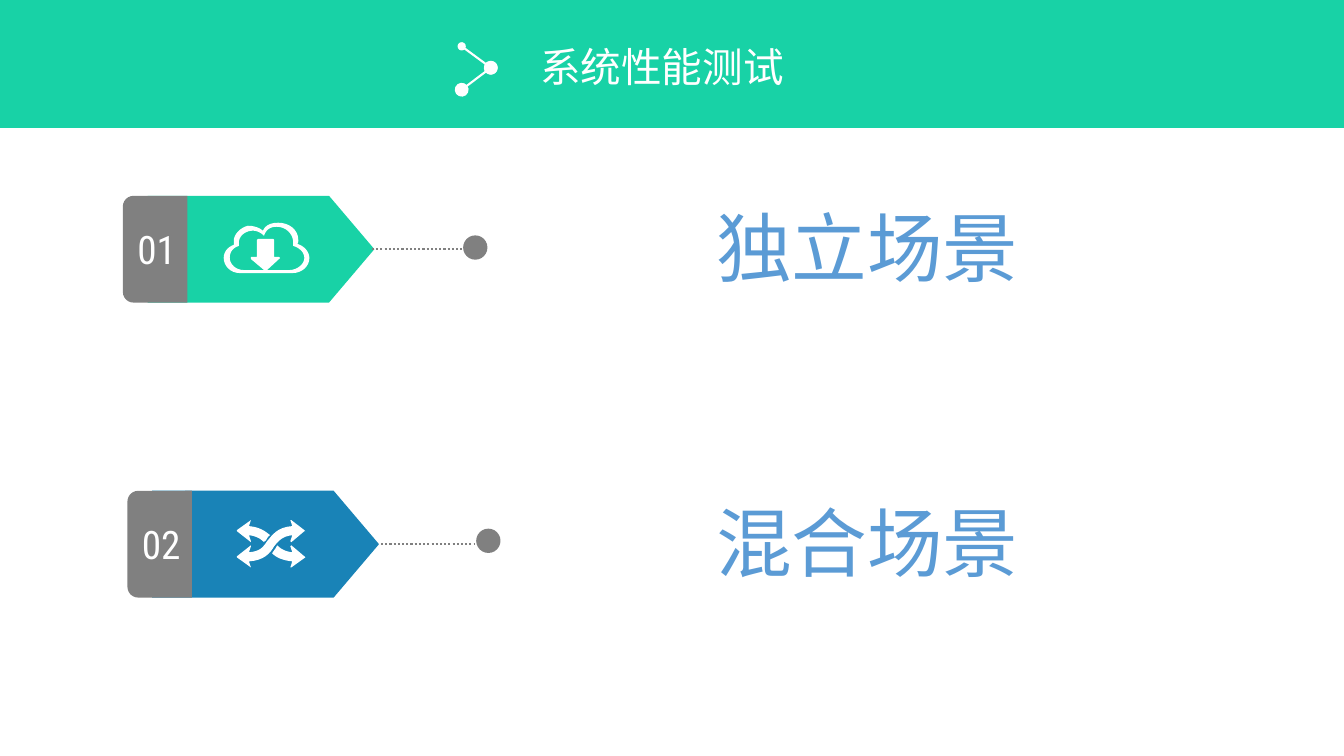
from lxml import etree
from pptx import Presentation
from pptx.dml.color import RGBColor
from pptx.enum.dml import MSO_LINE
from pptx.enum.shapes import MSO_CONNECTOR, MSO_SHAPE
from pptx.enum.text import MSO_ANCHOR, PP_ALIGN
from pptx.oxml.ns import qn
from pptx.util import Pt

RECTANGLE = MSO_SHAPE.RECTANGLE
OVAL = MSO_SHAPE.OVAL
OFFPAGE = MSO_SHAPE.FLOWCHART_OFFPAGE_CONNECTOR
ROUND_TOP = MSO_SHAPE.ROUND_2_SAME_RECTANGLE
STRAIGHT = MSO_CONNECTOR.STRAIGHT
DOTTED = MSO_LINE.ROUND_DOT
LEFT = PP_ALIGN.LEFT
CENTER = PP_ALIGN.CENTER
MIDDLE = MSO_ANCHOR.MIDDLE

GREEN = RGBColor(0x18, 0xD2, 0xA6)
BLUE = RGBColor(0x19, 0x83, 0xB7)
SKY = RGBColor(0x5B, 0x9B, 0xD5)
GRAY = RGBColor(0x80, 0x80, 0x80)
WHITE = RGBColor(0xFF, 0xFF, 0xFF)

ICON_UNIT = 0.72
CURVE_STEPS = 8

CLOUD = [
    [(73, 21), (74, 20, 74, 19, 74, 17), (74, 7, 65, 0, 54, 0),
     (41, 0, 39, 8, 39, 8), (39, 8, 34, 3, 24, 3), (16, 5, 10, 12, 10, 18),
     (10, 22), (4, 24, 0, 29, 0, 35), (0, 43, 7, 50, 16, 50), (68, 50),
     (78, 50, 85, 43, 85, 35), (85, 29, 80, 23, 73, 21)],
    [(65, 47), (43, 47), (56, 35), (55, 34), (50, 34), (50, 17), (49, 16),
     (34, 16), (33, 17), (33, 34), (27, 34), (27, 36), (40, 47), (20, 47),
     (12, 47, 6, 41, 6, 35), (6, 29, 9, 25, 15, 23), (15, 20),
     (15, 14, 20, 9, 27, 8), (35, 7, 40, 13, 40, 13),
     (40, 13, 42, 4, 52, 4), (62, 4, 69, 11, 69, 20), (69, 23),
     (75, 25, 80, 29, 80, 35), (80, 41, 73, 47, 65, 47)],
]
SHUFFLE = [
    [(67, 36), (68, 37), (54, 47), (53, 47), (55, 41),
     (45, 40, 39, 37, 35, 33), (36, 31, 38, 29, 39, 27), (40, 25),
     (44, 29, 48, 31, 55, 32), (53, 26), (54, 25)],
    [(14, 22), (14, 21), (12, 15), (20, 16, 24, 19, 27, 22),
     (27, 21, 28, 21, 29, 20), (30, 18, 31, 16, 33, 15),
     (28, 11, 23, 7, 12, 6), (14, 0), (0, 10), (0, 11)],
    [(37, 26), (41, 21, 45, 16, 55, 15), (53, 21), (54, 22), (67, 11),
     (68, 11), (67, 10), (54, 0), (53, 0), (55, 6),
     (40, 7, 35, 15, 30, 21), (26, 27, 23, 31, 12, 32), (14, 26), (14, 25),
     (0, 36), (0, 37), (14, 47), (12, 41), (27, 40, 33, 33, 37, 26)],
]


def write_text(frame, text, size, font, color, align=CENTER, wrap=True):
    frame.word_wrap = wrap
    paragraph = frame.paragraphs[0]
    paragraph.alignment = align
    run = paragraph.add_run()
    run.text = text
    run.font.size = Pt(size)
    run.font.color.rgb = color
    run.font.name = font
    east_asian = etree.SubElement(run.font._element, qn("a:ea"))
    east_asian.set("typeface", font)


def add_label(slide, left, top, width, height, text, **text_format):
    label = slide.shapes.add_textbox(Pt(left), Pt(top), Pt(width), Pt(height))
    write_text(label.text_frame, text, **text_format)


def paint(shape, fill, outline=0):
    shape.shadow.inherit = False
    shape.fill.solid()
    shape.fill.fore_color.rgb = fill
    if outline:
        shape.line.color.rgb = fill
        shape.line.width = Pt(outline)
    else:
        shape.line.fill.background()


def add_block(slide, kind, center_x, center_y, width, height, fill, rotation=0, outline=0):
    block = slide.shapes.add_shape(
        kind, Pt(center_x - width / 2), Pt(center_y - height / 2), Pt(width), Pt(height))
    block.rotation = rotation
    paint(block, fill, outline)
    return block


def add_line(slide, start, end, color, dash=None, ovals=()):
    line = slide.shapes.add_connector(STRAIGHT, *(Pt(v) for v in (*start, *end)))
    line.line.color.rgb = color
    line.line.width = Pt(1.5)
    if dash:
        line.line.dash_style = dash
    outline = line.line._get_or_add_ln()
    for end_name, size in ovals:
        oval = etree.SubElement(outline, qn(f"a:{end_name}"))
        oval.set("type", "oval")
        oval.set("w", size)
        oval.set("len", size)
    etree.SubElement(line._element.spPr, qn("a:effectLst"))


def flatten(contour):
    points = [contour[0]]
    for segment in contour[1:]:
        if len(segment) == 2:
            points.append(segment)
            continue
        start = points[-1]
        for step in range(1, CURVE_STEPS + 1):
            t = step / CURVE_STEPS
            u = 1 - t
            points.append(tuple(
                u ** 3 * start[axis] + 3 * u * u * t * segment[axis]
                + 3 * u * t * t * segment[axis + 2] + t ** 3 * segment[axis + 4]
                for axis in (0, 1)))
    return points


def add_icon(slide, left, top, contours):
    builder = None
    for contour in contours:
        points = [(Pt(left + x * ICON_UNIT), Pt(top + y * ICON_UNIT))
                  for x, y in flatten(contour)]
        if builder is None:
            builder = slide.shapes.build_freeform(*points[0])
        else:
            builder.move_to(*points[0])
        builder.add_line_segments(points[1:], close=True)
    paint(builder.convert_to_shape(), WHITE)


def add_header(slide):
    add_block(slide, RECTANGLE, 480, 45.7, 960, 91.4, GREEN)
    add_label(slide, 378.7, 26.6, 190, 42.5, "系统性能测试",
              size=29, font="Arial", color=WHITE, align=LEFT, wrap=False)
    joint = (350.6, 48.4)
    add_line(slide, (329.8, 33.1), joint, WHITE,
             ovals=(("headEnd", "med"), ("tailEnd", "lg")))
    add_line(slide, joint, (329.8, 64.1), WHITE,
             ovals=(("headEnd", "lg"), ("tailEnd", "lg")))


def add_scene(slide, left, middle, number, title, color, dots_left, dot, icon):
    add_block(slide, OVAL, *dot, 15.1, 15.1, GRAY, outline=2.25)
    add_block(slide, OFFPAGE, left + 98.6, middle, 76.3, 162, color, rotation=270)
    tab = add_block(slide, ROUND_TOP, left + 23, middle, 76.3, 46.1, GRAY, rotation=270)
    tab.text_frame._txBody.bodyPr.set("vert", "vert")
    tab.text_frame.vertical_anchor = MIDDLE
    write_text(tab.text_frame, number, size=28, font="Roboto Condensed", color=WHITE)
    add_line(slide, (dots_left, middle), (dots_left + 67.3, middle), GRAY, dash=DOTTED)
    add_icon(slide, *icon)
    add_label(slide, 488.9, middle - 38.3, 261.4, 72.7, title,
              size=54, font="Noto Sans CJK SC", color=SKY)


def main():
    deck = Presentation()
    deck.slide_width = Pt(960)
    deck.slide_height = Pt(540)
    slide = deck.slides.add_slide(deck.slide_layouts[6])
    add_header(slide)
    add_scene(slide, 87.8, 178, "01", "独立场景", GREEN, 265.7, (339.5, 176.8),
              (159.8, 159.1, CLOUD))
    add_scene(slide, 91.1, 388.7, "02", "混合场景", BLUE, 272.2, (348.8, 386.3),
              (169.2, 371.5, SHUFFLE))
    deck.save("out.pptx")


if __name__ == "__main__":
    main()
